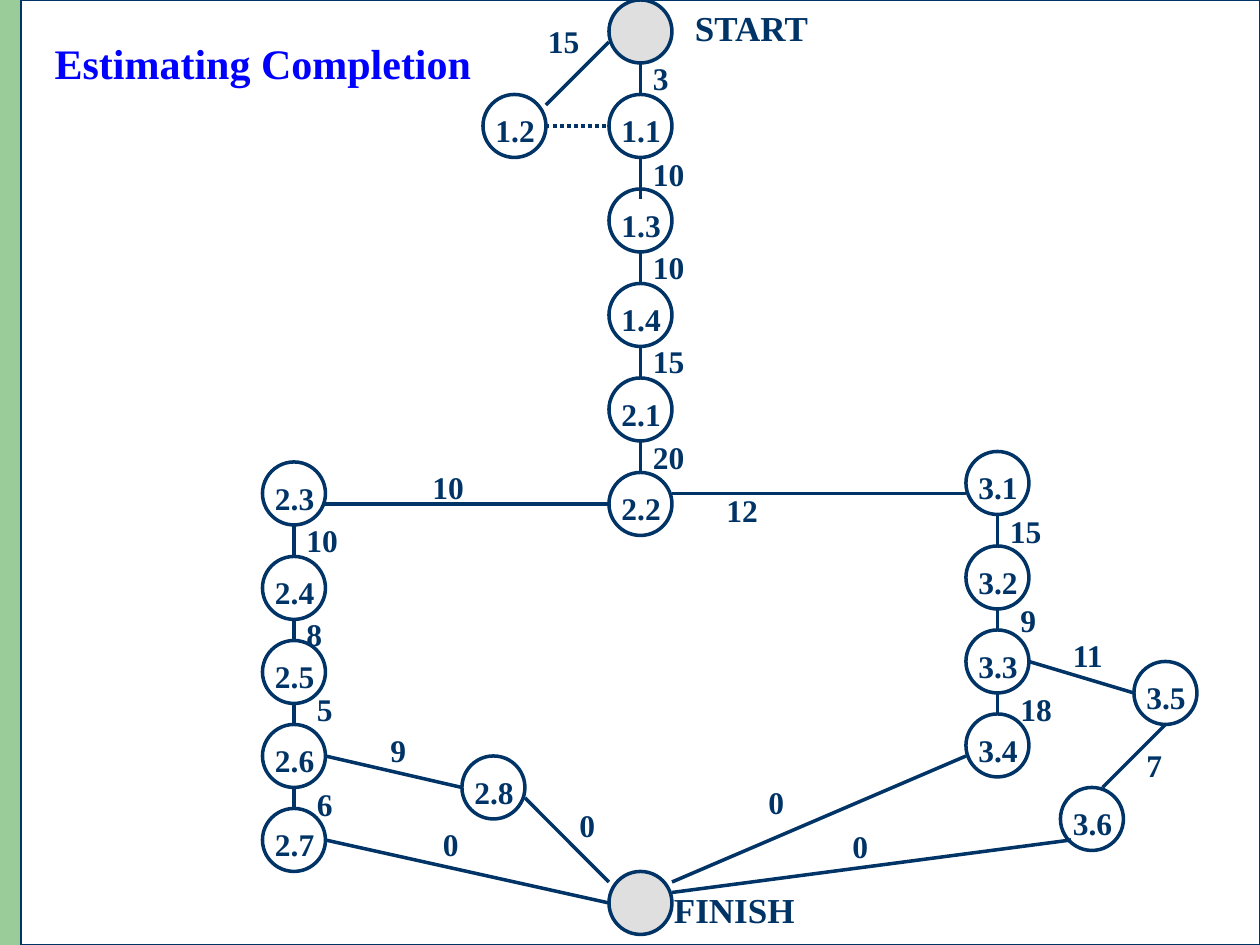
from itertools import pairwise

from lxml.etree import SubElement
from pptx import Presentation
from pptx.dml.color import RGBColor
from pptx.enum.dml import MSO_LINE_DASH_STYLE as Dash
from pptx.enum.shapes import MSO_CONNECTOR as Connector, MSO_SHAPE as Preset
from pptx.enum.text import MSO_ANCHOR as Anchor, PP_ALIGN as Align
from pptx.oxml.ns import qn
from pptx.util import Pt

COLORS = {"ink": "003366", "title": "0000FF", "band": "99CC99",
          "panel": "FFFFFF", "terminal": "C0C0C0"}
FONT = "Times New Roman"
DIAMETER = 36
RADIUS = DIAMETER / 2

# Left and top of each circle
TERMINALS = {"START": (348, 0), "FINISH": (348, 498)}
TASKS = {
    "1.1": (348, 54), "1.2": (276, 54), "1.3": (348, 108), "1.4": (348, 162),
    "2.1": (348, 216), "2.2": (348, 270), "2.3": (150, 264), "2.4": (150, 318),
    "2.5": (150, 366), "2.6": (150, 414), "2.7": (150, 462), "2.8": (264, 432),
    "3.1": (552, 258), "3.2": (552, 312), "3.3": (552, 360), "3.4": (552, 408),
    "3.5": (648, 378), "3.6": (606, 450),
}

# Tasks stacked in one column, joined bottom to top
CHAINS = [
    ("START", "1.1"),
    ("1.3", "1.4", "2.1", "2.2"),
    ("3.1", "3.2", "3.3", "3.4"),
    ("2.3", "2.4", "2.5", "2.6", "2.7"),
]

# Remaining links, from point to point
LINKS = [
    ((348, 24), (312, 60)),    # START to 1.2
    ((366, 90), (366, 114)),   # 1.1 to 1.3
    ((384, 282), (552, 282)),  # 2.2 to 3.1
    ((588, 378), (648, 396)),  # 3.3 to 3.5
    ((666, 414), (630, 450)),  # 3.5 to 3.6
    ((612, 480), (384, 510)),  # 3.6 to FINISH
    ((552, 432), (384, 504)),  # 3.4 to FINISH
    ((348, 288), (186, 288)),  # 2.2 to 2.3
    ((186, 432), (264, 450)),  # 2.6 to 2.8
    ((186, 480), (348, 516)),  # 2.7 to FINISH
    ((300, 456), (348, 504)),  # 2.8 to FINISH
]

# Duration, left, top, width
DURATIONS = [
    ("3", 366, 30, 114), ("15", 306, 9, 54), ("10", 366, 85, 114),
    ("10", 366, 138, 138), ("15", 366, 192, 150), ("20", 366, 247, 156),
    ("12", 408, 277, 174), ("15", 570, 289, 48), ("9", 576, 340, 30),
    ("7", 648, 423, 36), ("18", 576, 391, 42), ("10", 240, 264, 174),
    ("11", 606, 360, 42), ("10", 168, 294, 204), ("8", 168, 348, 204),
    ("5", 174, 391, 36), ("6", 174, 445, 30), ("9", 216, 414, 72),
    ("0", 324, 457, 36), ("0", 432, 444, 36), ("0", 480, 469, 36),
    ("0", 246, 468, 36),
]


def rgb(name):
    return RGBColor.from_string(COLORS[name])


class NetworkSlide:
    line_width = 2

    def __init__(self, slide):
        self.slide = slide
        self.shapes = slide.shapes

    def style_text(self, frame, text, size, color="ink"):
        frame.text = text
        frame.word_wrap = True
        frame.vertical_anchor = Anchor.TOP
        paragraph = frame.paragraphs[0]
        paragraph.alignment = Align.LEFT
        font = paragraph.runs[0].font
        font.name, font.size, font.bold = FONT, Pt(size), True
        font.color.rgb = rgb(color)

    def shape(self, preset, left, top, width, height,
              fill=None, line="ink", line_width=line_width):
        shape = self.shapes.add_shape(
            preset, Pt(left), Pt(top), Pt(width), Pt(height))
        shape.shadow.inherit = False
        if fill:
            shape.fill.solid()
            shape.fill.fore_color.rgb = rgb(fill)
        else:
            shape.fill.background()
        if line:
            shape.line.color.rgb = rgb(line)
            shape.line.width = Pt(line_width)
        else:
            shape.line.fill.background()
        return shape

    def title(self, text, left, top, width, height):
        """Fill the title placeholder and bring it in front of the panel."""
        title = self.shapes.title
        title.left, title.top = Pt(left), Pt(top)
        title.width, title.height = Pt(width), Pt(height)
        self.style_text(title.text_frame, text, 24, "title")
        title.element.getparent().append(title.element)

    def label(self, text, left, top, width, height=29, size=18):
        box = self.shapes.add_textbox(Pt(left), Pt(top), Pt(width), Pt(height))
        self.style_text(box.text_frame, text, size)

    def task(self, number, left, top):
        self.shape(Preset.OVAL, left, top, DIAMETER, DIAMETER)
        self.label(number, left, top + 6, 48)

    def terminal(self, left, top):
        """Draw a half-transparent start or finish circle."""
        circle = self.shape(Preset.OVAL, left, top, DIAMETER, DIAMETER, "terminal")
        color = circle.fill._xPr.find(qn("a:solidFill"))[0]
        SubElement(color, qn("a:alpha"), val="50000")

    def link(self, start, end, dash=None):
        line = self.shapes.add_connector(
            Connector.STRAIGHT, *(Pt(value) for value in (*start, *end)))
        line.line.color.rgb = rgb("ink")
        line.line.width = Pt(self.line_width)
        if dash:
            line.line.dash_style = dash
        SubElement(line.element.spPr, qn("a:effectLst"))


def main():
    prs = Presentation()
    prs.slide_width, prs.slide_height = Pt(720), Pt(540)
    network = NetworkSlide(prs.slides.add_slide(prs.slide_layouts[5]))

    network.shape(Preset.RECTANGLE, 0, 0, 58, 540, "band", line=None)
    network.shape(Preset.RECTANGLE, 12, 0, 708, 540, "panel", line_width=0.75)
    network.title("Estimating Completion", 24, 18, 270, 36)

    for position in TERMINALS.values():
        network.terminal(*position)
    for number, position in TASKS.items():
        network.task(number, *position)

    nodes = TERMINALS | TASKS
    for chain in CHAINS:
        for upper, lower in pairwise(chain):
            left, top = nodes[upper]
            center = left + RADIUS
            network.link((center, top + DIAMETER), (center, nodes[lower][1]))
    for start, end in LINKS:
        network.link(start, end)
    network.link((312, 72), (348, 72), Dash.ROUND_DOT)  # 1.2 to 1.1

    for duration in DURATIONS:
        network.label(*duration)
    network.label("START", 390, 0, 138, 31, size=20)
    network.label("FINISH", 378, 504, 84, 31, size=20)
    prs.save("out.pptx")


if __name__ == "__main__":
    main()
